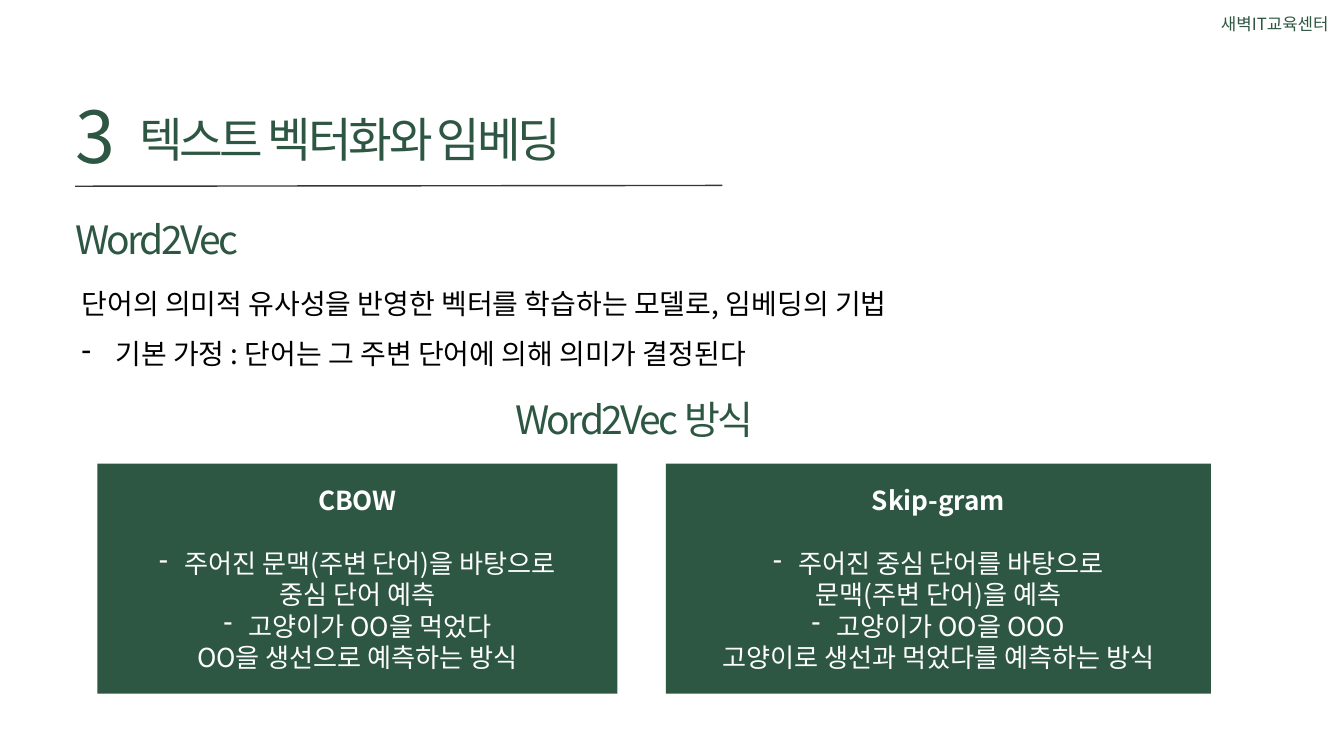
"""Build the Word2Vec slide of a text embedding lecture."""
from lxml.etree import SubElement
from pptx import Presentation
from pptx.dml.color import RGBColor
from pptx.enum.shapes import MSO_CONNECTOR, MSO_SHAPE
from pptx.enum.text import MSO_ANCHOR, MSO_AUTO_SIZE, PP_ALIGN
from pptx.oxml.ns import qn
from pptx.util import Cm, Pt

GREEN = RGBColor(0x2E, 0x57, 0x43)
GRAY = RGBColor(0x37, 0x37, 0x37)
BLACK = RGBColor(0, 0, 0)
WHITE = RGBColor(0xFF, 0xFF, 0xFF)
FONT = "Noto Sans CJK KR"
LEFT = 2.84
CARD_TOP, CARD_HEIGHT = 17.53, 8.69
CARDS = (
    (3.68, 19.66, "CBOW", (
        "- 주어진 문맥(주변 단어)을 바탕으로", "중심 단어 예측",
        "- 고양이가 OO을 먹었다", "OO을 생선으로 예측하는 방식")),
    (25.17, 20.6, "Skip-gram", (
        "- 주어진 중심 단어를 바탕으로", "문맥(주변 단어)을 예측",
        "- 고양이가 OO을 OOO", "고양이로 생선과 먹었다를 예측하는 방식")),
)


class Deck:
    def __init__(self, width, height):
        self.prs = Presentation()
        self.prs.slide_width, self.prs.slide_height = Cm(width), Cm(height)
        self.s = self.prs.slides.add_slide(self.prs.slide_layouts[6])

    def apply(self, target, values):
        for name, value in values.items():
            setattr(target, name, value)

    def paragraph(self, tf, text, size, color, bold=False, tracking=0, indent=1.27, **layout):
        p = tf.paragraphs[0]
        if p.runs:
            p = tf.add_paragraph()
        self.apply(p, layout)
        if text.startswith("- "):
            text = text[2:]
            pPr = p._p.get_or_add_pPr()
            pPr.set("marL", str(Cm(indent)))
            pPr.set("indent", str(-Cm(indent)))
            SubElement(pPr, qn("a:buChar")).set("char", "-")
        r = p.add_run()
        r.text = text
        self.apply(r.font, {"name": FONT, "size": Pt(size), "bold": bold})
        r.font.color.rgb = color
        rPr = r.font._element
        SubElement(rPr, qn("a:ea")).set("typeface", FONT)
        if tracking:
            rPr.set("spc", str(round(tracking * 100)))

    def text(self, box, lines, size, color=GREEN, inset=True, **style):
        tf = self.s.shapes.add_textbox(*map(Cm, box)).text_frame
        self.apply(tf, {"word_wrap": True, "auto_size": MSO_AUTO_SIZE.SHAPE_TO_FIT_TEXT})
        if not inset:
            self.apply(tf, dict.fromkeys(
                ("margin_left", "margin_top", "margin_right", "margin_bottom"), 0))
        for line in lines:
            self.paragraph(tf, line, size, color, **style)

    def heading(self, box, text, size, leading, tracking):
        self.text(box, [text], size, inset=False, tracking=tracking, line_spacing=Pt(leading))

    def rule(self, start, end):
        line = self.s.shapes.add_connector(MSO_CONNECTOR.STRAIGHT, *map(Cm, start + end))
        line.line.color.rgb = GRAY
        line.line.width = Pt(1.5)
        SubElement(line._element.spPr, qn("a:effectLst"))

    def card(self, left, width, title, lines):
        box = map(Cm, (left, CARD_TOP, width, CARD_HEIGHT))
        sp = self.s.shapes.add_shape(MSO_SHAPE.RECTANGLE, *box)
        sp.shadow.inherit = False
        sp.fill.solid()
        sp.fill.fore_color.rgb = GREEN
        sp.line.fill.background()
        tf = sp.text_frame
        self.apply(tf, {"word_wrap": True, "vertical_anchor": MSO_ANCHOR.MIDDLE})
        style = {"size": 28, "color": WHITE, "alignment": PP_ALIGN.CENTER}
        self.paragraph(tf, title, bold=True, space_after=Pt(33.6), **style)
        for line in lines:
            self.paragraph(tf, line, indent=0.95, **style)


def main():
    deck = Deck(50.8, 28.58)
    deck.text((45.59, 0.38, 4.88, 1.02), ["새벽IT교육센터"], 18, alignment=PP_ALIGN.RIGHT)
    deck.rule((LEFT, 7.04), (27.3, 7.01))
    deck.heading((5.26, 3.81, 17.5, 2.34), "텍스트 벡터화와 임베딩", 50.8, 71.1, -3.4)
    deck.heading((LEFT, 2.95, 2.01, 3.51), "3", 76.8, 107.5, -5.1)
    deck.text((LEFT, 10.06, 44.65, 3.89), (
        "단어의 의미적 유사성을 반영한 벡터를 학습하는 모델로, 임베딩의 기법",
        "- 기본 가정 : 단어는 그 주변 단어에 의해 의미가 결정된다",
    ), 30, BLACK, line_spacing=1.5)
    deck.heading((LEFT, 7.87, 24.46, 1.98), "Word2Vec", 41.8, 58.5, -2.8)
    deck.heading((19.48, 14.66, 10.29, 1.9), "Word2Vec 방식", 41.8, 58.5, -2.8)
    for card in CARDS:
        deck.card(*card)
    deck.prs.save("out.pptx")


if __name__ == "__main__":
    main()
